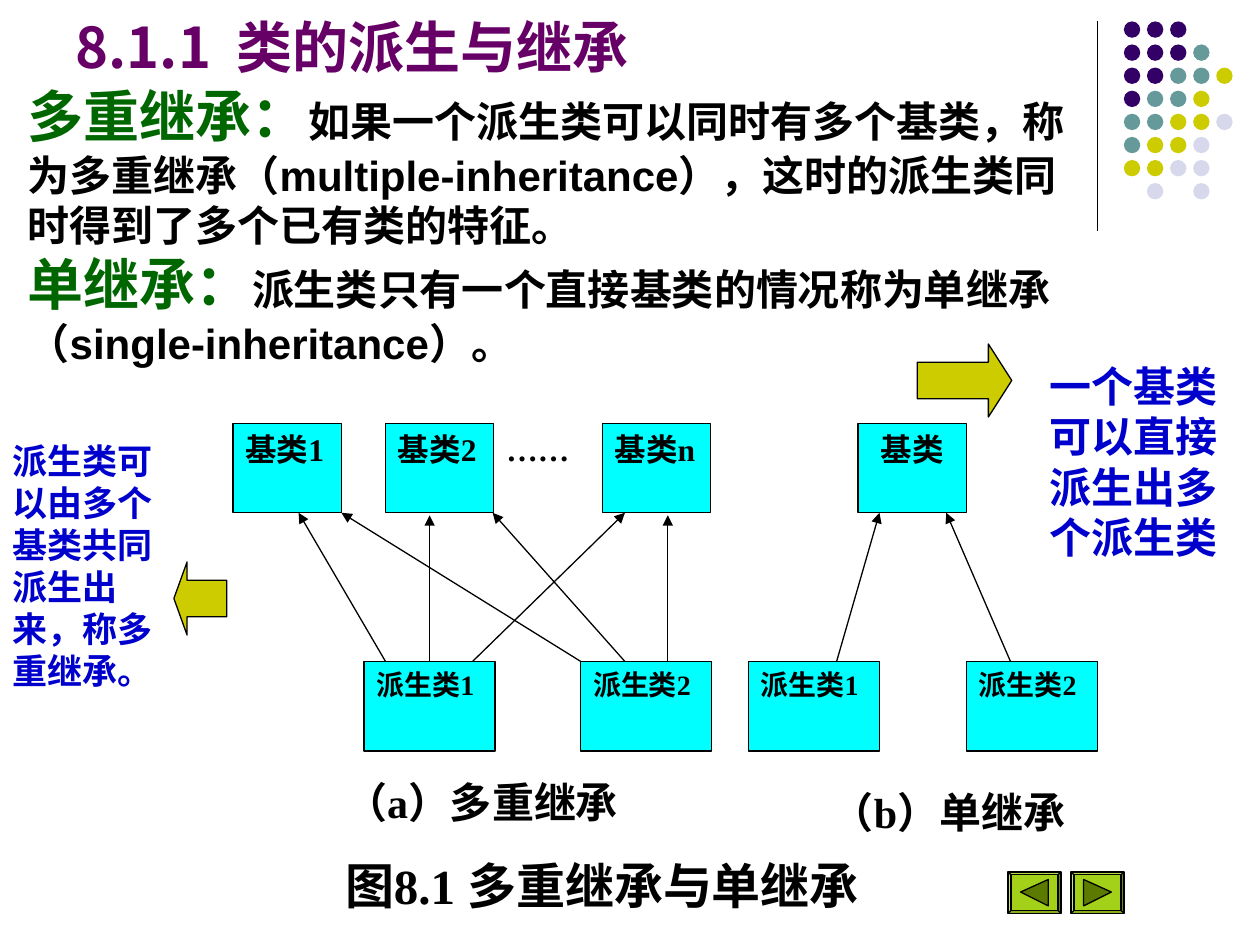
"""Build a slide that explains multiple and single inheritance with two class diagrams."""
from lxml import etree
from pptx import Presentation
from pptx.dml.color import RGBColor
from pptx.enum import shapes, text
from pptx.oxml import ns
from pptx.util import Inches, Pt

BLACK = RGBColor(0, 0, 0)
PURPLE = RGBColor(0x66, 0, 0x66)
GREEN = RGBColor(0, 0x66, 0)
BLUE = RGBColor(0, 0, 0xCC)
CYAN = RGBColor(0, 0xFF, 0xFF)
OLIVE = RGBColor(0xCC, 0xCC, 0)
LIME = RGBColor(0x99, 0xCC, 0)
DARK_LIME = RGBColor(0x5C, 0x7A, 0)
DOT_COLORS = {"P": RGBColor(0x33, 0, 0x66), "T": RGBColor(0x66, 0x99, 0x99),
              "Y": OLIVE, "L": RGBColor(0xD8, 0xD8, 0xEC)}
DOT_ROWS = ("PPP", "PPPT", "PPTTY", "PTTY", "TTYYL", "TYYL", "YYLL", " L L")
DOT_PITCH = 0.55 / 3

SANS = "Noto Sans CJK SC"
SERIF = "Times New Roman"
KIND = shapes.MSO_SHAPE
ALIGN = text.PP_ALIGN
BASE_TOP, DERIVED_TOP, CLASS_HEIGHT = 3.36, 5.25, 0.71
BASE_BOTTOM = BASE_TOP + CLASS_HEIGHT


def write(para, words, size=24, font=SANS, east=SANS, color=BLACK, bold=True):
    """Add a formatted span of words to a paragraph."""
    span = para.add_run()
    span.text = words
    span.font.size = Pt(size)
    span.font.name = font
    span.font.bold = bold
    span.font.color.rgb = color
    etree.SubElement(span.font._element, ns.qn("a:ea"), typeface=east)


def place(box, left, top, width, height):
    """Move and size a box, in inches."""
    box.left, box.top = Inches(left), Inches(top)
    box.width, box.height = Inches(width), Inches(height)


def add_text(page, area, spans, wrap=True, align=ALIGN.LEFT):
    """Add a text box made of (words, format) spans, keeping punctuation inside it."""
    box = page.shapes.add_textbox(*map(Inches, area))
    box.text_frame.word_wrap = wrap
    para = box.text_frame.paragraphs[0]
    para.alignment = align
    para._element.get_or_add_pPr().set("hangingPunct", "0")
    for words, style in spans:
        write(para, words, **style)
    return box


def add_figure(page, kind, area, fill, outlined=True):
    """Add a filled preset shape, with or without a thin black outline."""
    figure = page.shapes.add_shape(kind, *map(Inches, area))
    figure.shadow.inherit = False
    figure.fill.solid()
    figure.fill.fore_color.rgb = fill
    if outlined:
        figure.line.color.rgb = BLACK
        figure.line.width = Pt(0.75)
    else:
        figure.line.fill.background()
    return figure


def add_class(page, name, left, top, width, size, align=ALIGN.JUSTIFY):
    """Add a class rectangle with its name at the top."""
    box = add_figure(page, KIND.RECTANGLE, (left, top, width, CLASS_HEIGHT), CYAN)
    box.text_frame.word_wrap = True
    box.text_frame.vertical_anchor = text.MSO_ANCHOR.TOP
    para = box.text_frame.paragraphs[0]
    para.alignment = align
    write(para, name, size=size, font=SERIF)
    return box


def add_line(page, start, end, arrow=True):
    """Add a thin straight line, with an arrowhead at its end if asked."""
    line = page.shapes.add_connector(shapes.MSO_CONNECTOR.STRAIGHT, *map(Inches, start + end))
    line.line.color.rgb = BLACK
    line.line.width = Pt(0.75)
    if arrow:
        etree.SubElement(line.line._get_or_add_ln(), ns.qn("a:tailEnd"), type="triangle")
    etree.SubElement(line._element.spPr, ns.qn("a:effectLst"))
    return line


def add_button(page, left, forward):
    """Add a bevelled navigation button with a triangle pointing back or forward."""
    top = 6.92
    face = add_figure(page, KIND.BEVEL, (left, top, 0.42, 0.33), LIME)
    face.adjustments[0] = 0.07
    color = face._element.spPr.find(ns.qn("a:solidFill"))[0]
    etree.SubElement(color, ns.qn("a:alpha"), val="90000")
    tip, base = (0.32, 0.1) if forward else (0.1, 0.32)
    points = [(left + x, top + y) for x, y in ((tip, 0.16), (base, 0.06), (base, 0.27))]
    outline = [(Inches(x), Inches(y)) for x, y in points]
    builder = page.shapes.build_freeform(*outline[0])
    builder.add_line_segments(outline[1:])
    icon = builder.convert_to_shape()
    icon.shadow.inherit = False
    icon.fill.solid()
    icon.fill.fore_color.rgb = DARK_LIME
    icon.line.color.rgb = BLACK
    icon.line.width = Pt(0.75)


def add_ornament(page):
    """Add the vertical rule and the dot pattern in the corner."""
    add_line(page, (8.71, 0.17), (8.71, 1.83), arrow=False)
    for row, marks in enumerate(DOT_ROWS):
        for column, mark in enumerate(marks):
            if mark in DOT_COLORS:
                area = (8.92 + column * DOT_PITCH, 0.17 + row * DOT_PITCH, 0.13, 0.13)
                add_figure(page, KIND.OVAL, area, DOT_COLORS[mark], outlined=False)


def fill_placeholders(page):
    """Write the title and the two definitions."""
    title, body = page.placeholders
    place(title, 0.5, 0, 8.25, 0.68)
    title.text_frame.vertical_anchor = text.MSO_ANCHOR.BOTTOM
    title.text_frame.auto_size = text.MSO_AUTO_SIZE.NONE
    heading = title.text_frame.paragraphs[0]
    heading.alignment = ALIGN.LEFT
    write(heading, "8.1.1  类的派生与继承", size=32, color=PURPLE)

    place(body, 0.12, 0.6, 8.66, 2.37)
    frame = body.text_frame
    frame.auto_size = text.MSO_AUTO_SIZE.NONE
    definitions = (
        ("多重继承：", "如果一个派生类可以同时有多个基类，称为多重继承（multiple-inheritance），"
                  "这时的派生类同时得到了多个已有类的特征。"),
        ("单继承：", "派生类只有一个直接基类的情况称为单继承（single-inheritance）。"),
    )
    for index, (term, meaning) in enumerate(definitions):
        para = frame.add_paragraph() if index else frame.paragraphs[0]
        props = para._element.get_or_add_pPr()
        props.set("marL", "0")
        props.set("indent", "0")
        etree.SubElement(props, ns.qn("a:buNone"))
        para.space_before = Pt(0)
        write(para, term, size=32, font="Arial", color=GREEN)
        write(para, meaning, font="Arial")


def add_diagrams(page):
    """Add the class boxes and inheritance arrows of both diagrams."""
    for name, left in (("基类1", 1.85), ("基类2", 3.06), ("基类n", 4.78)):
        add_class(page, name, left, BASE_TOP, 0.86, 18)
    dots = {"size": 18, "font": SERIF, "east": SERIF}
    add_text(page, (3.92, BASE_TOP, 0.86, CLASS_HEIGHT), [("……", dots)], align=ALIGN.JUSTIFY)
    add_class(page, "基类", 6.81, BASE_TOP, 0.86, 18, ALIGN.CENTER)
    derived = [add_class(page, name, left, DERIVED_TOP, 1.04, 16)
               for name, left in (("派生类1", 2.89), ("派生类2", 4.61),
                                  ("派生类1", 5.94), ("派生类2", 7.67))]
    for start, end in ((3.06, 2.37), (3.75, 4.96), (4.61, 2.71),
                       (4.96, 3.91), (6.64, 6.98), (8.02, 7.51)):
        add_line(page, (start, DERIVED_TOP), (end, BASE_BOTTOM))
    upright, _ = [add_line(page, (x, DERIVED_TOP), (x, 4.09)) for x in (3.41, 5.3)]
    upright.begin_connect(derived[0], 0)


def add_captions(page):
    """Add the captions, the side notes and their block arrows."""
    latin = {"font": SERIF}
    add_text(page, (2.64, 6.11, 2.6, 0.5),
             [("（", {}), ("a", latin), ("）多重继承", {})], wrap=False)
    add_text(page, (6.43, 6.19, 2.36, 0.5),
             [(" ", {"font": SERIF, "bold": False}), ("（", {}), ("b", latin), ("）单继承", {})],
             wrap=False)
    large = {"size": 28}
    add_text(page, (2.64, 6.74, 4.6, 0.57),
             [("图", large), ("8.1 ", {**large, **latin}), ("多重继承与单继承", large)], wrap=False)
    add_text(page, (8.23, 2.81, 1.77, 1.7),
             [("一个基类可以直接派生出多个派生类", {"color": BLUE})])
    add_text(page, (0, 3.44, 1.52, 2.1),
             [("派生类可以由多个基类共同派生出来，称多重继承。", {"size": 20, "color": BLUE})])
    right = add_figure(page, KIND.RIGHT_ARROW, (7.28, 2.73, 0.75, 0.58), OLIVE)
    right.adjustments[1] = 0.32
    left = add_figure(page, KIND.LEFT_ARROW, (1.38, 4.46, 0.42, 0.58), OLIVE)
    left.adjustments[1] = 0.25


def main():
    """Build the deck and save it."""
    deck = Presentation()
    deck.slide_width, deck.slide_height = Inches(10), Inches(7.5)
    page = deck.slides.add_slide(deck.slide_layouts[1])
    add_ornament(page)
    fill_placeholders(page)
    add_diagrams(page)
    add_captions(page)
    add_button(page, 8, forward=False)
    add_button(page, 8.5, forward=True)
    deck.save("out.pptx")


if __name__ == "__main__":
    main()
